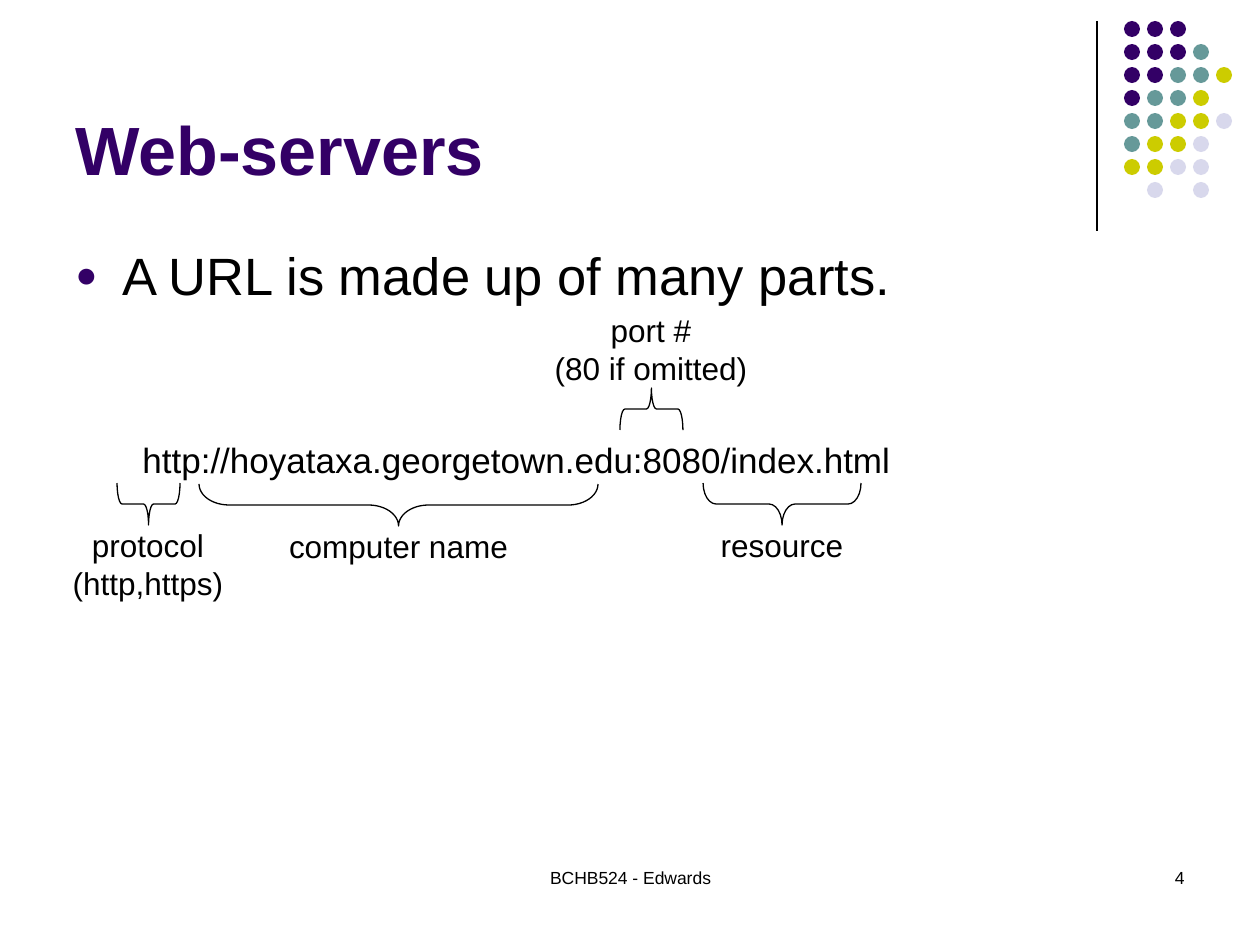
from lxml import etree
from pptx import Presentation
from pptx.dml.color import RGBColor
from pptx.enum.shapes import MSO_CONNECTOR, MSO_SHAPE
from pptx.enum.text import MSO_ANCHOR, MSO_AUTO_SIZE, PP_ALIGN
from pptx.oxml.ns import qn
from pptx.util import Emu, Pt

LINE = MSO_CONNECTOR.STRAIGHT
DOT, BRACE = MSO_SHAPE.OVAL, MSO_SHAPE.RIGHT_BRACE
TOP, BASE = MSO_ANCHOR.TOP, MSO_ANCHOR.BOTTOM
LEFT, MID, RIGHT = PP_ALIGN.LEFT, PP_ALIGN.CENTER, PP_ALIGN.RIGHT
GROW = MSO_AUTO_SIZE.SHAPE_TO_FIT_TEXT

FONT = "Arial"
BLACK, PURPLE = "000000", "330066"
HUES = {"P": PURPLE, "T": "669999", "Y": "CCCC00", "L": "D8D8EC"}
DOTS = ["PPP", "PPPT", "PPTTY", "PTTY", "TTYYL", "TYYL", "YYLL", " L L"]
STEP, SIZE = 23, 16
DEPTH = 42  # from the open side of a brace to its tip


def px(n):
    return Emu(round(n * 914400 / 126))


def color(code):
    return RGBColor.from_string(code)


def add_text(shapes, box, lines, size, align=LEFT, hue=BLACK, bold=False,
             anchor=TOP, wrap=True):
    frame = shapes.add_textbox(*map(px, box)).text_frame
    frame.word_wrap = wrap
    if not wrap:
        frame.auto_size = GROW
    frame.vertical_anchor = anchor
    for i, line in enumerate(lines):
        para = frame.paragraphs[0] if i == 0 else frame.add_paragraph()
        para.alignment = align
        run = para.add_run()
        run.text = line
        font = run.font
        font.name, font.size, font.bold = FONT, Pt(size), bold
        font.color.rgb = color(hue)
    return frame


def add_bullet(para, hue):
    para.space_before = Pt(7.5)
    props = para._p.get_or_add_pPr()
    props.set("marL", str(px(47)))
    props.set("indent", str(-px(47)))
    tint = etree.SubElement(props, qn("a:buClr"))
    etree.SubElement(tint, qn("a:srgbClr"), val=hue)
    etree.SubElement(props, qn("a:buSzPct"), val="70000")
    etree.SubElement(props, qn("a:buFont"), typeface=FONT)
    etree.SubElement(props, qn("a:buChar"), char="●")


def add_rule(shapes, x, top, end):
    rule = shapes.add_connector(LINE, px(x), px(top), px(x), px(end))
    rule.line.color.rgb = color(BLACK)
    rule.line.width = Pt(0.75)
    etree.SubElement(rule._element.spPr, qn("a:effectLst"))


def add_dots(shapes, left, top):
    group = shapes.add_group_shape().shapes
    for r, row in enumerate(DOTS):
        for c, key in enumerate(row):
            if key == " ":
                continue
            dot = group.add_shape(DOT, px(left + c * STEP), px(top + r * STEP),
                                  px(SIZE), px(SIZE))
            dot.shadow.inherit = False
            dot.fill.solid()
            dot.fill.fore_color.rgb = color(HUES[key])
            dot.line.fill.background()


def add_brace(shapes, left, top, span, curve, turn):
    # The upright brace shares its centre with the turned one
    shift = (span - DEPTH) / 2
    brace = shapes.add_shape(BRACE, px(left + shift), px(top - shift),
                             px(DEPTH), px(span))
    brace.rotation = turn
    brace.adjustments[0] = curve / DEPTH
    brace.shadow.inherit = False
    brace.fill.background()
    brace.line.color.rgb = color(BLACK)
    brace.line.width = Pt(0.75)


def add_part(shapes, lines, box, brace):
    group = shapes.add_group_shape().shapes
    add_brace(group, *brace)
    add_text(group, box, lines, 18, MID, wrap=False)


def main():
    deck = Presentation()
    deck.slide_width, deck.slide_height = px(1260), px(945)
    shapes = deck.slides.add_slide(deck.slide_layouts[6]).shapes

    # Corner ornament
    add_rule(shapes, 1097, 21, 231)
    add_dots(shapes, 1124, 21)

    # Footer
    add_text(shapes, (431, 861, 399, 63), ["BCHB524 - Edwards"], 10, MID)
    add_text(shapes, (903, 861, 294, 63), ["4"], 10, RIGHT)

    # Title and body
    add_text(shapes, (63, 16, 1040, 179), ["Web-servers"], 39, hue=PURPLE,
             bold=True, anchor=BASE)
    body = add_text(shapes, (63, 237, 1134, 607),
                    ["A URL is made up of many parts."], 30)
    add_bullet(body.paragraphs[0], PURPLE)

    # URL with its labelled parts
    add_text(shapes, (130, 432, 774, 55),
             ["http://hoyataxa.georgetown.edu:8080/index.html"], 20, wrap=False)
    parts = [
        (["protocol", "(http,https)"], (56, 520, 184, 88),
         (117, 483, 63, 5, 90)),
        (["computer name"], (273, 521, 251, 88), (199, 484, 399, 30, 90)),
        (["resource"], (704, 520, 156, 88), (703, 483, 158, 13, 90)),
        (["port #", "(80 if omitted)"], (538, 305, 226, 88),
         (620, 388, 63, 5, 270)),
    ]
    for lines, box, brace in parts:
        add_part(shapes, lines, box, brace)

    deck.save("out.pptx")


if __name__ == "__main__":
    main()
